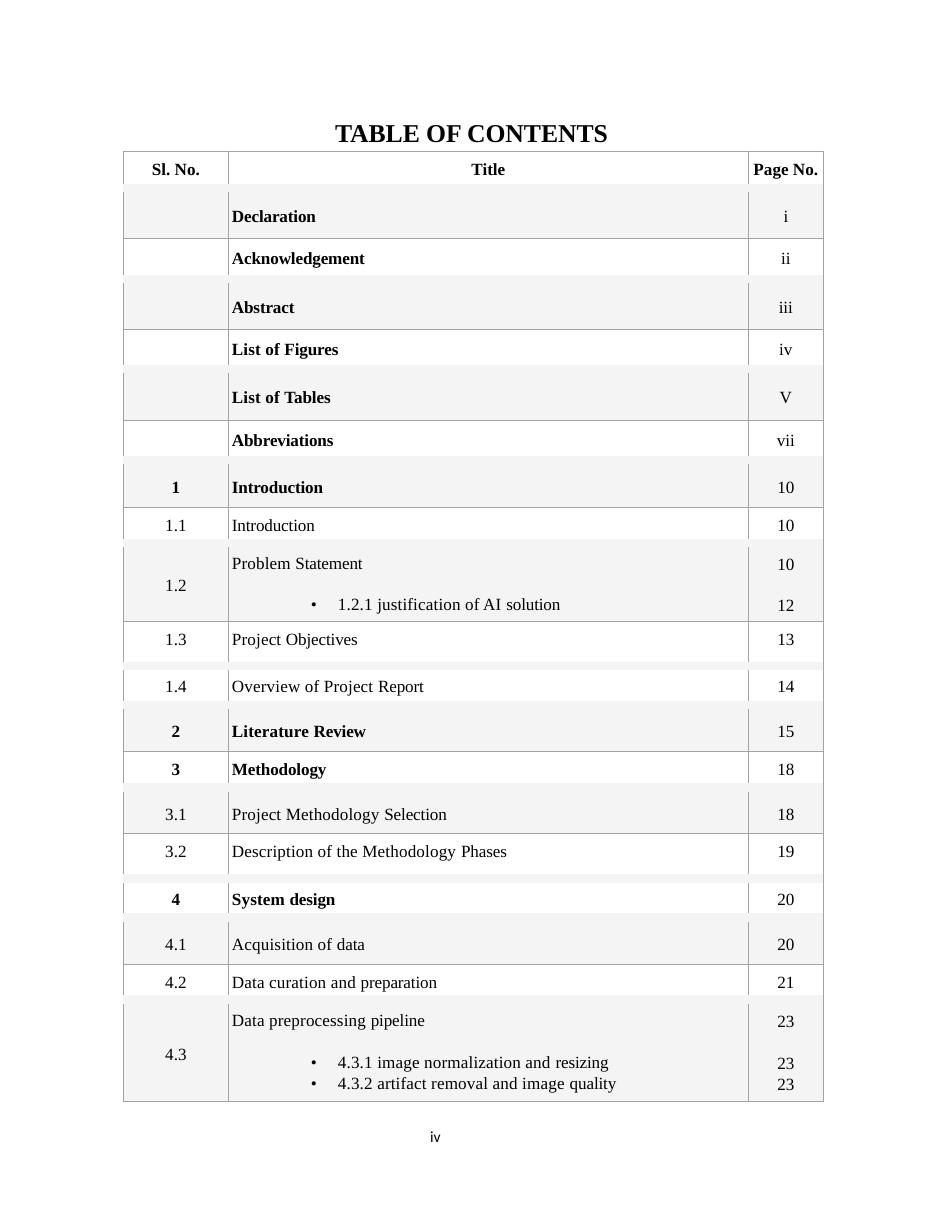
from lxml.etree import SubElement
from pptx import Presentation
from pptx.dml.color import RGBColor
from pptx.enum.text import MSO_ANCHOR as Anchor, PP_ALIGN as Align
from pptx.oxml.ns import qn
from pptx.util import Emu, Pt

SCALE = 914400 / 112
COLORS = {"text": "000000", "rule": "A3A3A3", "band": "F4F4F4"}
SERIF, SANS = "Times New Roman", "Calibri"
THIN, BAND = ("rule", 0.25), ("band", 6)

COLUMN_WIDTHS = [105, 520, 75]
LINE_GAPS = [0, 14.4, 1.4]  # points before the first, second and third line of a cell
LEAD_TRACKING, TAIL_TRACKING = 8, -10  # hundredths of a point

# number, title lines, page lines, height, top inset, shaded
ROWS = [
    ("Sl. No.", ["Title"], ["Page No."], 37, 9, False),
    ("", ["Declaration"], ["i"], 50, 19, True),
    ("", ["Acknowledgement"], ["ii"], 41, 11, False),
    ("", ["Abstract"], ["iii"], 50, 19, True),
    ("", ["List of Figures"], ["iv"], 40, 11, False),
    ("", ["List of Tables"], ["V"], 51, 19, True),
    ("", ["Abbreviations"], ["vii"], 40, 11, False),
    ("1", ["Introduction"], ["10"], 47, 18, True),
    ("1.1", ["Introduction"], ["10"], 36, 9, False),
    ("1.2", ["Problem Statement", "1.2.1 justification of AI solution"],
     ["10", "12"], 78, 11, True),
    ("1.3", ["Project Objectives"], ["13"], 45, 9, False),
    ("1.4", ["Overview of Project Report"], ["14"], 39, 12, False),
    ("2", ["Literature Review"], ["15"], 47, 18, True),
    ("3", ["Methodology"], ["18"], 36, 9, False),
    ("3.1", ["Project Methodology Selection"], ["18"], 46, 18, True),
    ("3.2", ["Description of the Methodology Phases"], ["19"], 45, 9, False),
    ("4", ["System design"], ["20"], 39, 12, False),
    ("4.1", ["Acquisition of data"], ["20"], 47, 18, True),
    ("4.2", ["Data curation and preparation"], ["21"], 35, 9, False),
    ("4.3", ["Data preprocessing pipeline", "4.3.1 image normalization and resizing",
             "4.3.2 artifact removal and image quality"],
     ["23", "23", "23"], 102, 12, True),
]


def px(length):
    return Emu(round(length * SCALE))


class ContentsPage:
    def __init__(self, slide):
        self.slide = slide

    def format_spans(self, para, size, font=SERIF, bold=False):
        for span in para.runs:
            span.font.size = Pt(size)
            span.font.name = font
            span.font.bold = bold
            span.font.color.rgb = RGBColor.from_string(COLORS["text"])
        SubElement(para._p, qn("a:endParaRPr"), sz=str(round(size * 100)))

    def label(self, text, left, top, width, height, size, font=SERIF, bold=False,
              inset=(0, 0), line_spacing=None):
        box = self.slide.shapes.add_textbox(px(left), px(top), px(width), px(height))
        frame = box.text_frame
        frame.word_wrap = True
        frame.margin_left, frame.margin_top = map(px, inset)
        frame.margin_right = frame.margin_bottom = 0
        frame.text = text
        para = frame.paragraphs[0]
        if line_spacing:
            para.line_spacing = Pt(line_spacing)
        self.format_spans(para, size, font, bold)

    def bullet(self, para):
        props = para._p.get_or_add_pPr()
        props.set("marL", str(px(106)))
        props.set("indent", str(px(-27)))
        SubElement(props, qn("a:buFont"), typeface=SERIF)
        SubElement(props, qn("a:buChar"), char="•")

    def track(self, para):
        """Open up the leading words and tighten the last one."""
        lead, space, tail = para.text.rpartition(" ")
        para.text = lead + space
        for span in para.runs:
            span.font._element.set("spc", str(LEAD_TRACKING))
        last = para.add_run()
        last.text = tail
        last.font._element.set("spc", str(TAIL_TRACKING))

    def borders(self, cell, top, bottom):
        props = cell._tc.get_or_add_tcPr()
        sides = {"a:lnL": THIN, "a:lnR": THIN, "a:lnT": top, "a:lnB": bottom}
        for tag, (color, width) in sides.items():
            line = SubElement(props, qn(tag), w=str(Pt(width)))
            fill = SubElement(line, qn("a:solidFill"))
            SubElement(fill, qn("a:srgbClr"), val=COLORS[color])

    def cell_text(self, cell, lines, inset, bold, centred):
        cell.margin_left = px(1 if centred else 4)
        cell.margin_right = cell.margin_bottom = 0
        cell.margin_top = px(inset)
        cell.text_frame.text = "\n".join(lines)
        for index, para in enumerate(cell.text_frame.paragraphs):
            if centred:
                para.alignment = Align.CENTER
            else:
                self.track(para)
                if index:
                    self.bullet(para)
            if index:
                para.space_before = Pt(LINE_GAPS[index])
            self.format_spans(para, 11, bold=bold)

    def contents_table(self, left, top):
        height = sum(row[3] for row in ROWS)
        frame = self.slide.shapes.add_table(
            len(ROWS), len(COLUMN_WIDTHS), px(left), px(top),
            px(sum(COLUMN_WIDTHS)), px(height))
        table = frame.table
        table.first_row = table.horz_banding = False
        for column, width in zip(table.columns, COLUMN_WIDTHS):
            column.width = px(width)
        upper = THIN
        for index, (number, titles, pages, height, inset, shaded) in enumerate(ROWS):
            table.rows[index].height = px(height)
            lower = THIN if shaded else BAND
            header, several = index == 0, len(titles) > 1
            bold = header or "." not in number
            number_cell, title_cell, page_cell = table.rows[index].cells
            self.cell_text(number_cell, [number], 8 if several else inset, bold, True)
            if several:
                number_cell.vertical_anchor = Anchor.MIDDLE
            self.cell_text(title_cell, titles, inset, bold, header)
            self.cell_text(page_cell, pages, inset + several, header, True)
            for cell in (number_cell, title_cell, page_cell):
                self.borders(cell, upper, lower)
                if shaded:
                    cell.fill.solid()
                    cell.fill.fore_color.rgb = RGBColor.from_string(COLORS["band"])
                else:
                    cell.fill.background()
            upper = lower


def main():
    deck = Presentation()
    deck.slide_width, deck.slide_height = px(952), px(1232)
    page = ContentsPage(deck.slides.add_slide(deck.slide_layouts[6]))
    page.label("iv", 213, 1129, 450, 39, 10, SANS, inset=(217, 0), line_spacing=10.8)
    page.label("TABLE OF CONTENTS", 334, 115, 282, 35, 16.5, bold=True, inset=(1, 2))
    page.contents_table(123, 151)
    deck.save("out.pptx")


if __name__ == "__main__":
    main()
